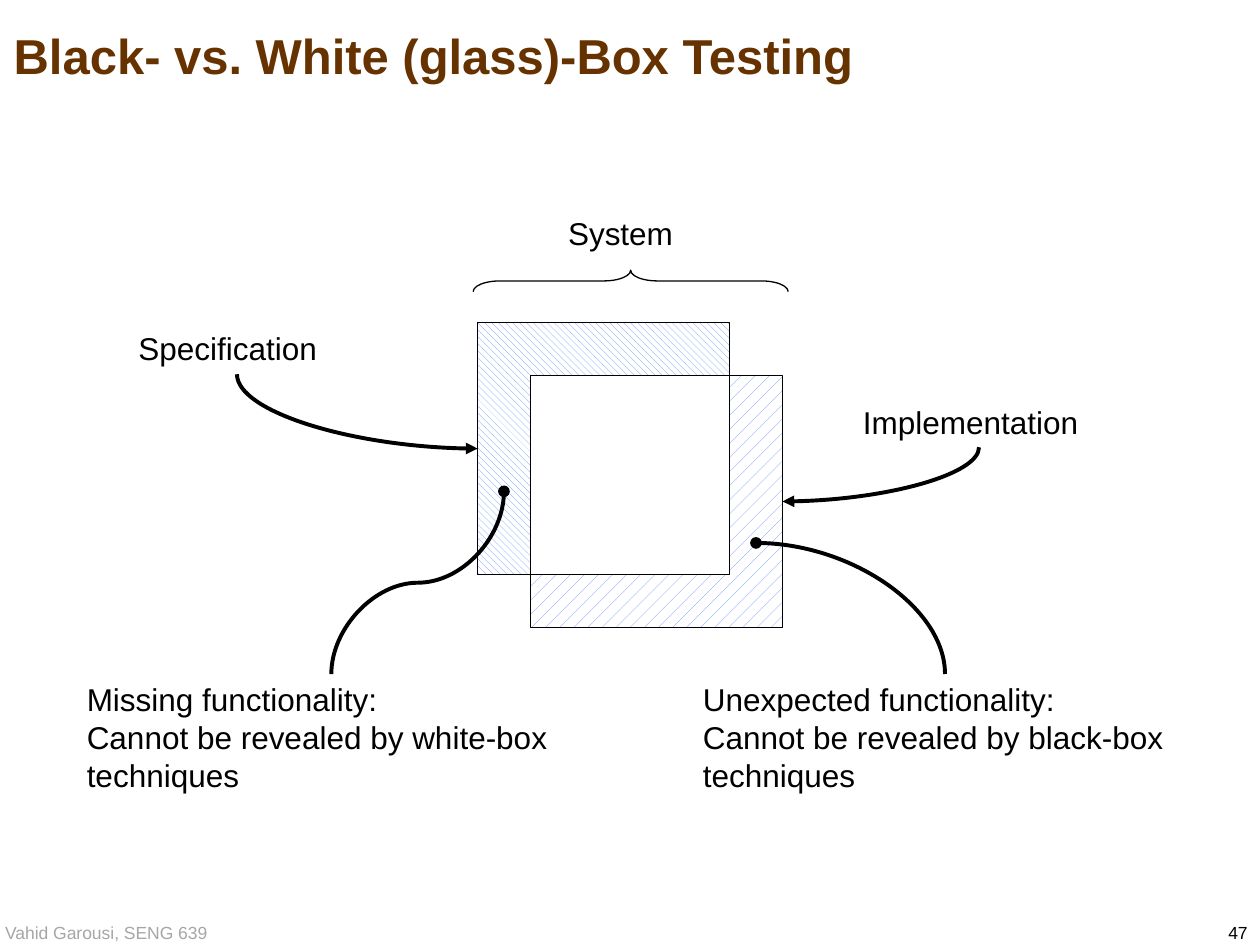
from pptx import Presentation
from pptx.dml.color import RGBColor
from pptx.enum.dml import MSO_LINE, MSO_PATTERN as Pattern
from pptx.enum.shapes import MSO_CONNECTOR as Connector, MSO_SHAPE as Shape
from pptx.enum.text import MSO_ANCHOR as Anchor, PP_ALIGN as Align
from pptx.oxml.ns import qn
from pptx.util import Inches, Pt
from lxml.etree import SubElement

COLS, ROWS = 100, 75


def rgb(hex_color):
    return RGBColor.from_string(hex_color)


class Board:
    """Slide with a grid of 100 columns by 75 rows, and the deck's style."""
    font = "Arial"
    ink, paper, hatch = "000000", "FFFFFF", "618FFD"
    brown, grey = "663300", "A6A6A6"

    def __init__(self, prs):
        self.s = prs.slides.add_slide(prs.slide_layouts[6])
        self.col = prs.slide_width / COLS
        self.row = prs.slide_height / ROWS

    def box(self, x, y, w, h):
        return (round(x * self.col), round(y * self.row),
                round(w * self.col), round(h * self.row))

    def text(self, words, *at, size=18, color=ink, bold=False, wrap=True,
             align=Align.LEFT, anchor=Anchor.TOP, spacing=None, indent=1):
        sp = self.s.shapes.add_textbox(*self.box(*at))
        tf = sp.text_frame
        tf.word_wrap = wrap
        tf.vertical_anchor = anchor
        tf.margin_left = round(indent * self.col)
        p = tf.paragraphs[0]
        p.text = words
        p.alignment = align
        p.line_spacing = spacing
        for r in p.runs:
            r.font.name, r.font.size, r.font.bold = self.font, Pt(size), bold
            r.font.color.rgb = rgb(color)

    def shape(self, kind, *at, pattern=None, fill=None):
        sp = self.s.shapes.add_shape(kind, *self.box(*at))
        sp.shadow.inherit = False
        if pattern:
            sp.fill.patterned()
            sp.fill.pattern = pattern
            sp.fill.fore_color.rgb = rgb(self.hatch)
            sp.fill.back_color.rgb = rgb(self.paper)
        elif fill:
            sp.fill.solid()
            sp.fill.fore_color.rgb = rgb(fill)
        else:
            sp.fill.background()
        sp.line.color.rgb = rgb(self.ink)
        sp.line.width = Pt(0.75)
        return sp

    def curve(self, start, end, turn, flips="", tip="triangle", bends=2):
        """Curve leaving start vertically: a frame on its side, turned by 90 or 270."""
        (x1, y1), (x2, y2) = start, end
        mid_x, mid_y = (x1 + x2) / 2, (y1 + y2) / 2
        w, h = abs(y2 - y1), abs(x2 - x1)
        x, y, w, h = self.box(mid_x - w / 2, mid_y - h / 2, w, h)
        c = self.s.shapes.add_connector(Connector.CURVE, x, y, x + w, y + h)
        c.line.color.rgb = rgb(self.ink)
        c.line.width = Pt(2.25)
        c.line.dash_style = MSO_LINE.SOLID
        pr = c._element.spPr
        xfrm = pr.find(qn("a:xfrm"))
        xfrm.set("rot", str(turn * 60000))
        for flip in flips:
            xfrm.set("flip" + flip, "1")
        pr.find(qn("a:prstGeom")).set("prst", f"curvedConnector{bends}")
        SubElement(pr.find(qn("a:ln")), qn("a:tailEnd"), type=tip)
        SubElement(pr, qn("a:effectLst"))


def main():
    prs = Presentation()
    prs.slide_width, prs.slide_height = Inches(10), Inches(7.5)
    b = Board(prs)

    b.text("47", 87.5, 72.7, 12.5, 2.7, size=10, align=Align.RIGHT)
    b.text("Vahid Garousi, SENG 639", 0, 72.4, 18.1, 3.2, size=10,
           color=b.grey, anchor=Anchor.MIDDLE, indent=0.4)
    b.text("Black- vs. White (glass)-Box Testing", 0.1, 0.2, 99.9, 7.4, size=28,
           color=b.brown, bold=True, anchor=Anchor.MIDDLE, spacing=1.2)

    # Two equal squares, the second shifted diagonally; their overlap is white
    side, shift = 20, 4.2
    left, top = 37.9, 25.6
    right, bottom = left + shift + side, top + shift + side
    overlap = side - shift

    b.shape(Shape.RECTANGLE, left, top, side, side,
            pattern=Pattern.WIDE_DOWNWARD_DIAGONAL)
    b.text("Specification", 10, 25.6, 17.6, 4, wrap=False)
    b.curve((18.8, 29.7), (left, top + side / 2), 270, "H")

    b.text("System", 44.1, 16.5, 10.9, 4, wrap=False)
    brace = b.shape(Shape.LEFT_BRACE, 49.2, 9.8, 1.7, 25)
    brace.rotation = 90
    brace.adjustments[0] = 1.25

    b.shape(Shape.RECTANGLE, left + shift, top + shift, side, side,
            pattern=Pattern.PERCENT_10)
    b.text("Implementation", 67.5, 31.5, 20.5, 4, wrap=False)
    b.curve((77.7, 35.5), (right, top + shift + side / 2), 90)
    b.shape(Shape.RECTANGLE, left + shift, top + shift, overlap, overlap,
            fill=b.paper)

    notes_top = 53.5
    for x, kind, box in ((5.9, "Missing", "white"), (54.8, "Unexpected", "black")):
        b.text(f"{kind} functionality:\vCannot be revealed by {box}-box techniques",
               x, notes_top, 40.8, 10)
    b.curve((75, notes_top), (right - shift / 2, bottom - 6.7), 270, "V", "oval")
    b.curve((26.3, notes_top), (left + shift / 2, top + 13.4), 90, "HV", "oval", 3)

    prs.save("out.pptx")


if __name__ == "__main__":
    main()
